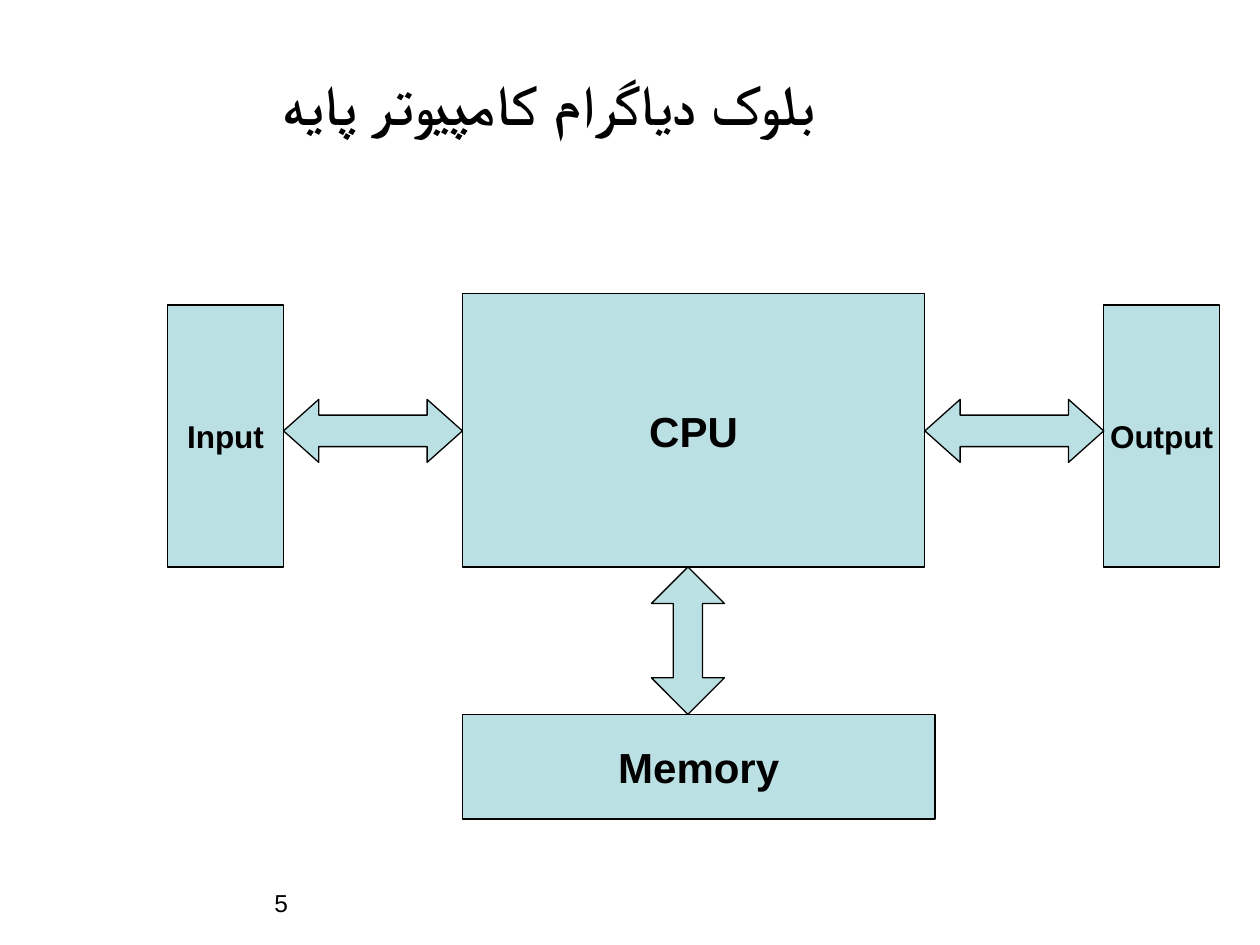
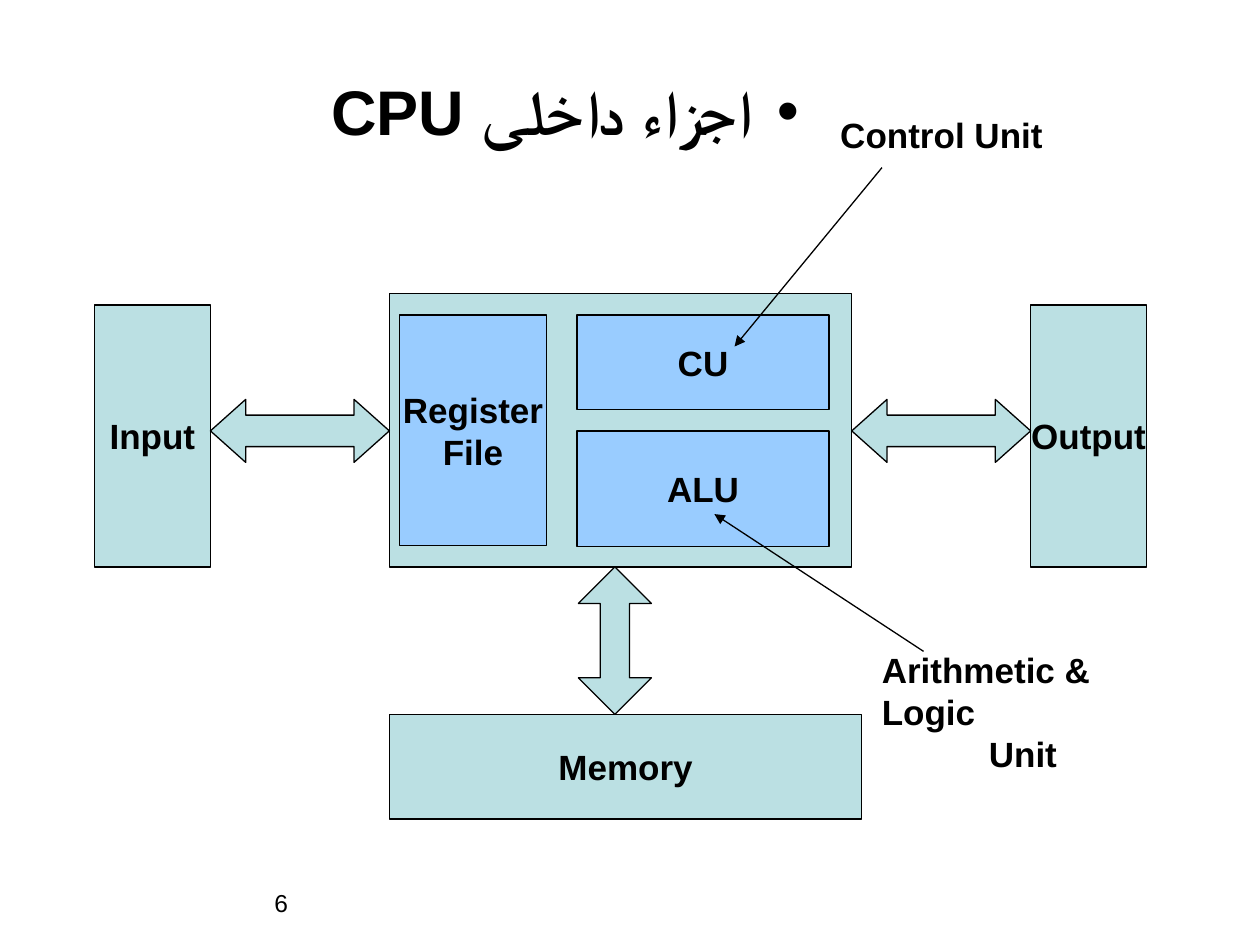
import pptx
import pptx.util
import pptx.dml.color
import pptx.enum.shapes
import pptx.enum.text
import pptx.oxml.ns
import lxml.etree

Inches = pptx.util.Inches
Pt = pptx.util.Pt
Kind = pptx.enum.shapes.MSO_SHAPE
Align = pptx.enum.text.PP_ALIGN
Anchor = pptx.enum.text.MSO_ANCHOR
qn = pptx.oxml.ns.qn

COLORS = {"ink": "000000", "unit": "BBE0E3", "part": "99CCFF"}
FONT = "Arial"

SIDE_WIDTH, SIDE_HEIGHT, SIDE_TOP = 0.92, 2.08, 2.42
CPU_WIDTH, CPU_HEIGHT, CPU_TOP = 3.67, 2.17, 2.33
MEMORY_WIDTH, MEMORY_HEIGHT, MEMORY_TOP = 3.75, 0.83, 5.67
BUS_LENGTH, BUS_HEIGHT, BUS_TOP = 1.42, 0.5, 3.17
MEMORY_BUS_WIDTH, MEMORY_BUS_OFFSET = 0.58, 1.5


def color(name):
    return pptx.dml.color.RGBColor.from_string(COLORS[name])


def apply(target, values):
    for name, value in values.items():
        setattr(target, name, value)


class Painter:
    def __init__(self, deck):
        self.deck = deck
        self.page = None

    def new_page(self, number):
        self.page = self.deck.slides.add_slide(self.deck.slide_layouts[6])
        self.text(2.08, 7, 1.5, 0.5, str(number), 14, bold=False, wrap=True)

    def fill_text(self, frame, text, size, bold=True, align=Align.LEFT):
        for index, line in enumerate(text.split("\n")):
            para = frame.add_paragraph() if index else frame.paragraphs[0]
            para.alignment = align
            span = para.add_run()
            span.text = line
            apply(span.font, {"name": FONT, "size": Pt(size), "bold": bold})
            span.font.color.rgb = color("ink")
            script = lxml.etree.SubElement(span.font._element, qn("a:cs"))
            script.set("typeface", FONT)

    def text(self, left, top, width, height, text, size, bold=True, wrap=False,
             align=Align.LEFT):
        box = self.page.shapes.add_textbox(
            Inches(left), Inches(top), Inches(width), Inches(height))
        box.text_frame.word_wrap = wrap
        self.fill_text(box.text_frame, text, size, bold, align)
        return box.text_frame.paragraphs

    def bullet_title(self, left, top, width, height, text, size):
        para = self.text(left, top, width, height, text, size, align=Align.RIGHT)[0]
        para.space_before = Pt(9)
        properties = para._p.get_or_add_pPr()
        indent = Inches(0.38)
        for name, value in {"marL": indent, "indent": -indent, "rtl": 1}.items():
            properties.set(name, str(value))
        lxml.etree.SubElement(properties, qn("a:buFont")).set("typeface", FONT)
        lxml.etree.SubElement(properties, qn("a:buChar")).set("char", "•")

    def shape(self, kind, left, top, width, height, fill):
        shape = self.page.shapes.add_shape(
            kind, Inches(left), Inches(top), Inches(width), Inches(height))
        shape.shadow.inherit = False
        shape.fill.solid()
        shape.fill.fore_color.rgb = color(fill)
        shape.line.color.rgb = color("ink")
        shape.line.width = Pt(0.75)
        return shape

    def block(self, left, top, width, height, label="", size=20, fill="unit"):
        block = self.shape(Kind.RECTANGLE, left, top, width, height, fill)
        apply(block.text_frame, {"word_wrap": False, "vertical_anchor": Anchor.MIDDLE})
        if label:
            self.fill_text(block.text_frame, label, size, align=Align.CENTER)

    def bus(self, kind, left, top, width, height, head):
        bus = self.shape(kind, left, top, width, height, "unit")
        bus.adjustments[0] = 0.5
        bus.adjustments[1] = head

    def pointer(self, start, end):
        pointer = self.page.shapes.add_connector(
            pptx.enum.shapes.MSO_CONNECTOR.STRAIGHT,
            *(Inches(value) for value in start + end))
        pointer.line.color.rgb = color("ink")
        pointer.line.width = Pt(0.75)
        lxml.etree.SubElement(pointer.line._get_or_add_ln(), qn("a:tailEnd")).set(
            "type", "triangle")
        lxml.etree.SubElement(pointer._element.spPr, qn("a:effectLst"))

    def computer(self, left, cpu_label, side_size, main_size):
        input_bus = left + SIDE_WIDTH
        cpu = input_bus + BUS_LENGTH
        output_bus = cpu + CPU_WIDTH
        output = output_bus + BUS_LENGTH
        cpu_bottom = CPU_TOP + CPU_HEIGHT
        self.block(cpu, CPU_TOP, CPU_WIDTH, CPU_HEIGHT, cpu_label, main_size)
        for side, label in ((left, "Input"), (output, "Output")):
            self.block(side, SIDE_TOP, SIDE_WIDTH, SIDE_HEIGHT, label, side_size)
        self.block(cpu, MEMORY_TOP, MEMORY_WIDTH, MEMORY_HEIGHT, "Memory", main_size)
        for bus in (input_bus, output_bus):
            self.bus(Kind.LEFT_RIGHT_ARROW, bus, BUS_TOP, BUS_LENGTH, BUS_HEIGHT, 0.56)
        self.bus(Kind.UP_DOWN_ARROW, cpu + MEMORY_BUS_OFFSET, cpu_bottom,
                 MEMORY_BUS_WIDTH, MEMORY_TOP - cpu_bottom, 0.4)


def basic_computer(painter):
    painter.new_page(5)
    painter.computer(1.33, "CPU", 18, 24)
    painter.text(2.14, 0.5, 5.78, 0.64, "بلوک دیاگرام کامپیوتر پایه", 32)


def cpu_parts(painter):
    painter.new_page(6)
    painter.computer(0.75, "", 20, 20)
    for left, top, width, height, label in (
            (3.17, 2.5, 1.17, 1.83, "Register\nFile"),
            (4.58, 2.5, 2, 0.75, "CU"),
            (4.58, 3.42, 2, 0.92, "ALU")):
        painter.block(left, top, width, height, label, fill="part")
    painter.text(6.57, 0.85, 1.81, 0.44, "Control Unit", 20)
    unit_line = painter.text(6.9, 5.1, 2.67, 0.77, "Arithmetic & Logic\nUnit", 20)[1]
    unit_line._p.get_or_add_pPr().set("marL", str(Inches(0.85)))
    painter.pointer((7, 1.33), (5.83, 2.75))
    painter.pointer((7.33, 5.17), (5.67, 4.08))
    painter.bullet_title(1.77, 0.53, 4.67, 0.7, "اجزاء داخلی CPU", 36)


def main():
    deck = pptx.Presentation()
    apply(deck, {"slide_width": Inches(10), "slide_height": Inches(7.5)})
    painter = Painter(deck)
    basic_computer(painter)
    cpu_parts(painter)
    deck.save("out.pptx")


if __name__ == "__main__":
    main()
